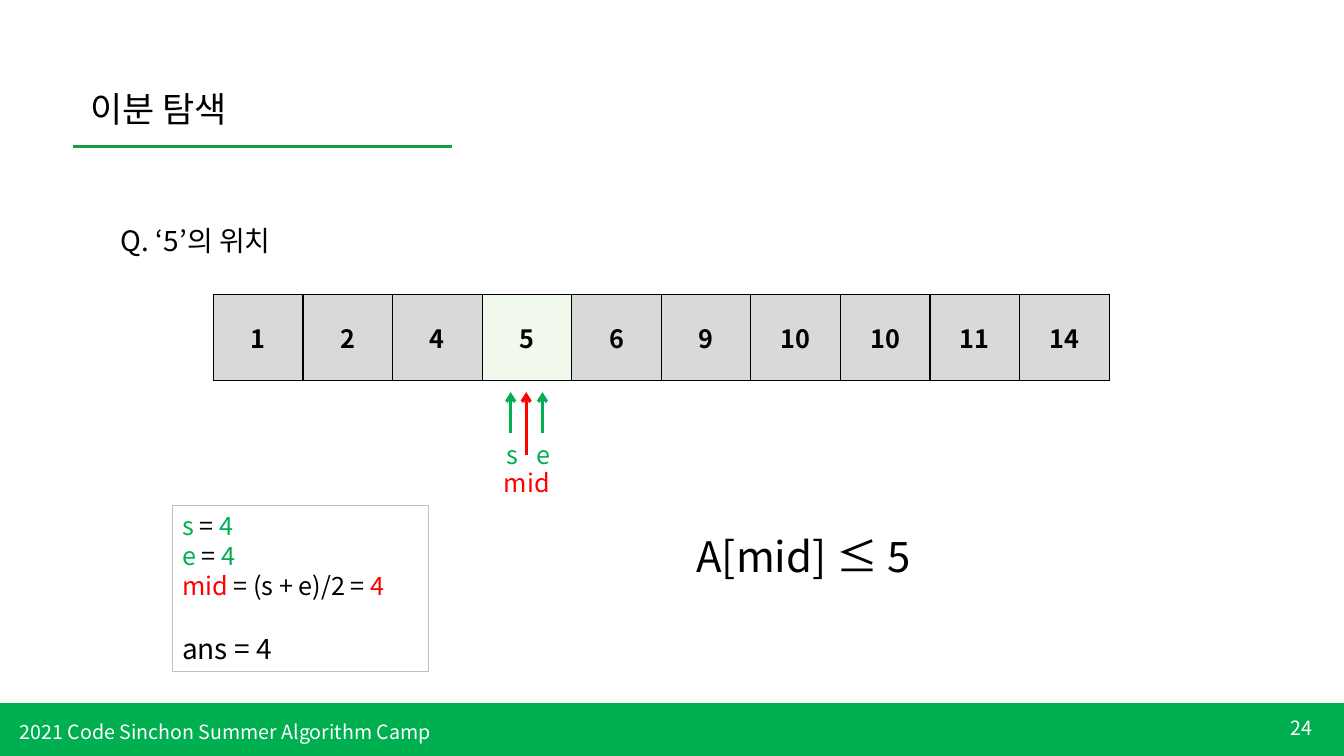
from pptx import Presentation
from pptx.dml.color import RGBColor
from pptx.enum import shapes, text
from pptx.oxml.ns import qn
from pptx.util import Cm, Pt
from lxml import etree

FONT = "Noto Sans CJK KR"
GREEN = RGBColor(0x00, 0xB0, 0x50)
RULE = RGBColor(0x15, 0x9D, 0x41)
RED = RGBColor(0xFF, 0x00, 0x00)
BLACK = RGBColor(0x00, 0x00, 0x00)
WHITE = RGBColor(0xFF, 0xFF, 0xFF)
GREY = RGBColor(0xD9, 0xD9, 0xD9)
FOUND = RGBColor(0xF1, 0xF8, 0xEC)
BORDER = RGBColor(0xBF, 0xBF, 0xBF)


def add_run(p, words, size, color, bold=False):
    r = p.add_run()
    r.text = words
    r.font.size, r.font.bold, r.font.name = Pt(size), bold, FONT
    r.font.color.rgb = color
    etree.SubElement(r.font._element, qn("a:ea"), typeface=FONT)


def add_line(x1, y1, x2, y2, color, arrow=False):
    ln = s.shapes.add_connector(shapes.MSO_CONNECTOR.STRAIGHT, Cm(x1), Cm(y1), Cm(x2), Cm(y2))
    ln.line.color.rgb, ln.line.width = color, Pt(2.25)
    if arrow:
        etree.SubElement(ln.line._get_or_add_ln(), qn("a:tailEnd"), type="arrow")
    etree.SubElement(ln._element.spPr, qn("a:effectLst"))


prs = Presentation()
prs.slide_width, prs.slide_height = Cm(33.87), Cm(19.05)
s = prs.slides.add_slide(prs.slide_layouts[5])

# Footer band
band = s.shapes.add_shape(shapes.MSO_SHAPE.RECTANGLE, 0, Cm(17.73), prs.slide_width, Cm(1.32))
band.shadow.inherit = False
band.fill.solid()
band.fill.fore_color.rgb = band.line.color.rgb = GREEN
band.line.width = Pt(1)

# Title and rule
title = s.shapes.title
title.left, title.top, title.width, title.height = Cm(2.03), Cm(2.08), Cm(9.35), Cm(1.32)
tf = title.text_frame
tf.vertical_anchor = text.MSO_ANCHOR.TOP
tf.auto_size = text.MSO_AUTO_SIZE.NONE
tf.paragraphs[0].alignment = text.PP_ALIGN.LEFT
add_run(tf.paragraphs[0], "이분 탐색", 25, BLACK)
add_line(1.83, 3.69, 11.4, 3.69, RULE)

# Sorted array
values = [1, 2, 4, 5, 6, 9, 10, 10, 11, 14]
table = s.shapes.add_table(1, len(values), Cm(5.38), Cm(7.42), Cm(22.58), Cm(2.16)).table
for i, value in enumerate(values):
    cell = table.cell(0, i)
    tcPr = cell._tc.get_or_add_tcPr()
    for side in ("a:lnL", "a:lnR", "a:lnT", "a:lnB"):
        edge = etree.SubElement(tcPr, qn(side), w=str(Pt(1)))
        fill = etree.SubElement(edge, qn("a:solidFill"))
        etree.SubElement(fill, qn("a:srgbClr"), val=str(BLACK))
    cell.fill.solid()
    cell.fill.fore_color.rgb = FOUND if value == 5 else GREY
    cell.vertical_anchor = text.MSO_ANCHOR.MIDDLE
    p = cell.text_frame.paragraphs[0]
    p.alignment = text.PP_ALIGN.CENTER
    add_run(p, str(value), 18, BLACK, True)

# Index arrows
for x, y, color in [(12.87, 10.9, GREEN), (13.67, 10.9, GREEN), (13.26, 11.46, RED)]:
    add_line(x, y, x, 9.88, color, True)

# Labels: left, top, width, height, words, size, colour
labels = [
    (0.25, 18.02, 14.63, 0.86, "2021 Code Sinchon Summer Algorithm Camp", 14, WHITE),
    (2.8, 5.51, 6.96, 1.12, "Q. ‘5’의 위치", 20, BLACK),
    (12.52, 10.95, 0.99, 1.02, "s", 18, GREEN),
    (13.26, 10.95, 0.99, 1.02, "e", 18, GREEN),
    (12.45, 11.66, 1.8, 1.02, "mid", 18, RED),
    (17.3, 13.24, 6.45, 1.55, "A[mid] ≤ 5", 30, BLACK),
]
for x, y, w, h, words, size, color in labels:
    tf = s.shapes.add_textbox(Cm(x), Cm(y), Cm(w), Cm(h)).text_frame
    tf.word_wrap = True
    add_run(tf.paragraphs[0], words, size, color)

# Page number
tf = s.shapes.add_textbox(Cm(30.78), Cm(17.83), Cm(2.54), Cm(1.02)).text_frame
tf.word_wrap = True
tf.vertical_anchor = text.MSO_ANCHOR.MIDDLE
tf.paragraphs[0].alignment = text.PP_ALIGN.RIGHT
add_run(tf.paragraphs[0], "24", 14, WHITE)

# Variable box
box = s.shapes.add_shape(shapes.MSO_SHAPE.RECTANGLE, Cm(4.34), Cm(12.73), Cm(6.45), Cm(4.19))
box.shadow.inherit = False
box.fill.background()
box.line.color.rgb, box.line.width = BORDER, Pt(0.75)
tf = box.text_frame
tf.word_wrap = True
tf.vertical_anchor = text.MSO_ANCHOR.TOP
steps = [
    [("s", GREEN), (" = ", BLACK), ("4", GREEN)],
    [("e", GREEN), (" = ", BLACK), ("4", GREEN)],
    [("mid", RED), (" = (s + e)/2 = ", BLACK), ("4", RED)],
]
for i, parts in enumerate(steps):
    p = tf.add_paragraph() if i else tf.paragraphs[0]
    p.alignment = text.PP_ALIGN.LEFT
    for words, color in parts:
        add_run(p, words, 18, color)
p = tf.add_paragraph()
p.alignment = text.PP_ALIGN.LEFT
p.space_before = Pt(22)
add_run(p, "ans = 4", 20, BLACK)

prs.save("out.pptx")
